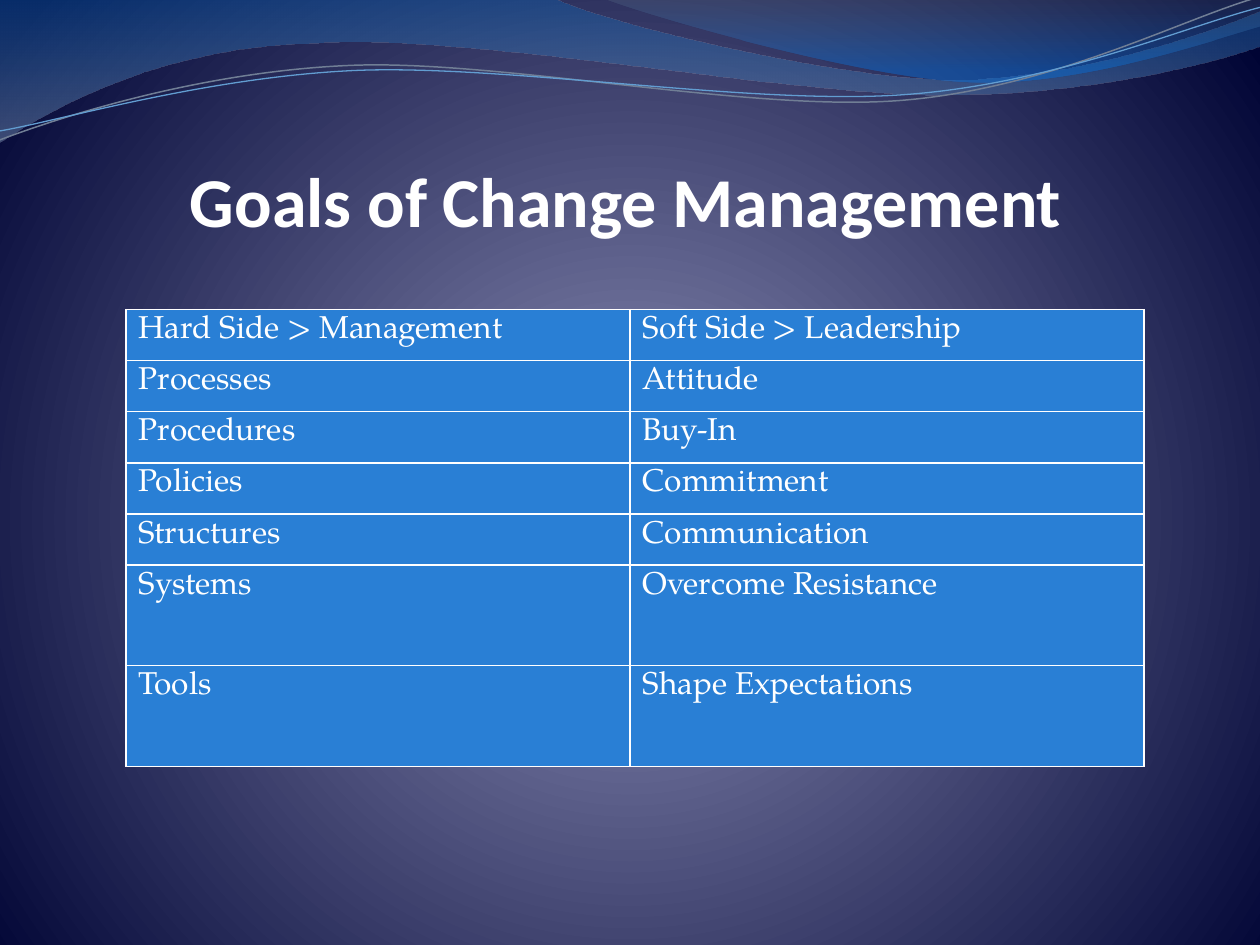
from lxml.etree import SubElement
from pptx import Presentation
from pptx.dml.color import RGBColor
from pptx.enum.text import MSO_ANCHOR, PP_ALIGN
from pptx.oxml.ns import qn
from pptx.oxml.xmlchemy import OxmlElement
from pptx.util import Cm, Pt

TITLE = "Goals of Change Management "
ROWS = [
    ("Hard Side > Management", "Soft Side > Leadership"),
    ("Processes", "Attitude"),
    ("Procedures", "Buy-In"),
    ("Policies", "Commitment"),
    ("Structures", "Communication"),
    ("Systems", "Overcome Resistance"),
    ("Tools", "Shape Expectations"),
]
COLUMN_WIDTHS = (10.16, 10.36)
ROW_HEIGHTS = [1.03] * 5 + [2.03] * 2
COLORS = {
    "white": "FFFFFF", "cell": "297FD5",
    "glow": "6E71A1", "haze": "696C96", "night": "000434",
    "deep": "125EAA", "mist": "697FA4", "slate": "596982", "azure": "0670DA",
    "gray line": "707E95", "blue line": "629DD1",
}
BACKGROUND = [(0, "glow", 100), (25, "haze", 100), (100, "night", 100)]
WAVES = [
    {"start": (0, 0), "stops": [(0, "deep", 45), (100, "mist", 55)], "segments": [
        [(11.18, -0.03)],
        [(12.09, 0.43), (16.87, 1.6), (19.25, 1.6)],
        [(21.67, 1.6), (24.33, 0.66), (25.4, 0.23)],
        [(25.43, 0.91)],
        [(24.97, 1.12), (22.1, 1.93), (18.95, 1.91)],
        [(15.8, 1.91), (9.7, 0.71), (6.53, 0.86)],
        [(3.28, 0.91), (1.17, 2.11), (-0.03, 2.87)],
        [(0, 0)]]},
    {"start": (12.17, -0.03), "stops": [(0, "slate", 30), (80, "azure", 45)], "segments": [
        [(12.93, 0.28), (17.32, 1.57), (19.53, 1.65)],
        [(21.74, 1.75), (24.41, 0.81), (25.4, 0.53)],
        [(25.4, 0)],
        [(12.17, -0.03)]]},
    {"start": (0, 2.82), "line": ("gray line", 0.85), "segments": [
        [(1.22, 2.36), (4.01, 1.45), (7.04, 1.32)],
        [(10.03, 1.19), (15.06, 2.26), (18.11, 2.03)],
        [(21.16, 1.8), (23.83, 0.38), (25.35, -0.05)]]},
    {"start": (0, 2.64), "line": ("blue line", 0.75), "segments": [
        [(1.19, 2.44), (4.17, 1.55), (7.19, 1.42)],
        [(10.24, 1.3), (15.16, 2.13), (18.21, 1.91)],
        [(21.23, 1.7), (23.9, 0.53), (25.4, 0.15)]]},
]


def rgb(name):
    return RGBColor.from_string(COLORS[name])


def add_color(parent, name):
    return SubElement(parent, qn("a:srgbClr"), val=COLORS[name])


def set_gradient(fill, element, stops, circle=None):
    fill.gradient()
    gradient = element.find(".//" + qn("a:gradFill"))
    for child in list(gradient):
        gradient.remove(child)
    stop_list = SubElement(gradient, qn("a:gsLst"))
    for position, name, opacity in stops:
        stop = SubElement(stop_list, qn("a:gs"), pos=str(position * 1000))
        color = add_color(stop, name)
        if opacity < 100:
            SubElement(color, qn("a:alpha"), val=str(opacity * 1000))
    if circle:
        shade = SubElement(gradient, qn("a:path"), path="circle")
        SubElement(shade, qn("a:fillToRect"), **circle)
    else:
        SubElement(gradient, qn("a:lin"), ang="5400000", scaled="0")


def bend_curves(shape, segments):
    steps = iter(list(shape.element.iter(qn("a:lnTo"))))
    for segment in segments:
        parts = [next(steps) for _ in segment]
        if len(parts) == 3:
            curve = OxmlElement("a:cubicBezTo")
            parts[0].addprevious(curve)
            for part in parts:
                curve.append(part[0])
                part.getparent().remove(part)


def add_wave(page, wave):
    points = [wave["start"]] + [point for segment in wave["segments"] for point in segment]
    vertices = [(Cm(x), Cm(y)) for x, y in points]
    builder = page.shapes.build_freeform(*vertices[0])
    builder.add_line_segments(vertices[1:], close="stops" in wave)
    shape = builder.convert_to_shape()
    bend_curves(shape, wave["segments"])
    shape.shadow.inherit = False
    if "stops" in wave:
        set_gradient(shape.fill, shape.element, wave["stops"])
        shape.line.fill.background()
    else:
        name, width = wave["line"]
        shape.fill.background()
        shape.line.color.rgb = rgb(name)
        shape.line.width = Pt(width)


def format_paragraph(para, font_name, size, bold=False):
    font = para.font
    font.name, font.size, font.bold = font_name, Pt(size), bold
    font.color.rgb = rgb("white")


def add_title(page):
    title = page.shapes.title
    title.left, title.top, title.width, title.height = Cm(2.54), Cm(2.33), Cm(20.52), Cm(2.54)
    frame = title.text_frame
    frame.text = TITLE
    frame.vertical_anchor = MSO_ANCHOR.BOTTOM
    frame.margin_left = frame.margin_top = frame.margin_bottom = 0
    frame.margin_right = Cm(0.05)
    para = frame.paragraphs[0]
    para.alignment = PP_ALIGN.CENTER
    format_paragraph(para, "Calibri", 40, True)
    title.element.getparent().append(title.element)


def format_cell(cell, text):
    cell.text = text
    format_paragraph(cell.text_frame.paragraphs[0], "TeX Gyre Pagella", 18)
    properties = cell._tc.get_or_add_tcPr()
    for side in ("lnL", "lnR", "lnT", "lnB"):
        border = SubElement(properties, qn("a:" + side), w=str(Pt(1)))
        add_color(SubElement(border, qn("a:solidFill")), "white")
    cell.fill.solid()
    cell.fill.fore_color.rgb = rgb("cell")


def add_goals_table(page):
    table = page.shapes.add_table(
        len(ROWS), len(COLUMN_WIDTHS), Cm(2.54), Cm(6.24),
        Cm(sum(COLUMN_WIDTHS)), Cm(sum(ROW_HEIGHTS))).table
    for column, width in zip(table.columns, COLUMN_WIDTHS):
        column.width = Cm(width)
    for row, height, texts in zip(table.rows, ROW_HEIGHTS, ROWS):
        row.height = Cm(height)
        for cell, text in zip(row.cells, texts):
            format_cell(cell, text)


def main():
    """Build the slide on the goals of change management."""
    deck = Presentation()
    deck.slide_width, deck.slide_height = Cm(25.4), Cm(19.05)
    page = deck.slides.add_slide(deck.slide_layouts[5])
    set_gradient(page.background.fill, page.element, BACKGROUND,
                 {"l": "10000", "t": "110000", "r": "10000", "b": "100000"})
    for wave in WAVES:
        add_wave(page, wave)
    add_title(page)
    add_goals_table(page)
    deck.save("out.pptx")


if __name__ == "__main__":
    main()
